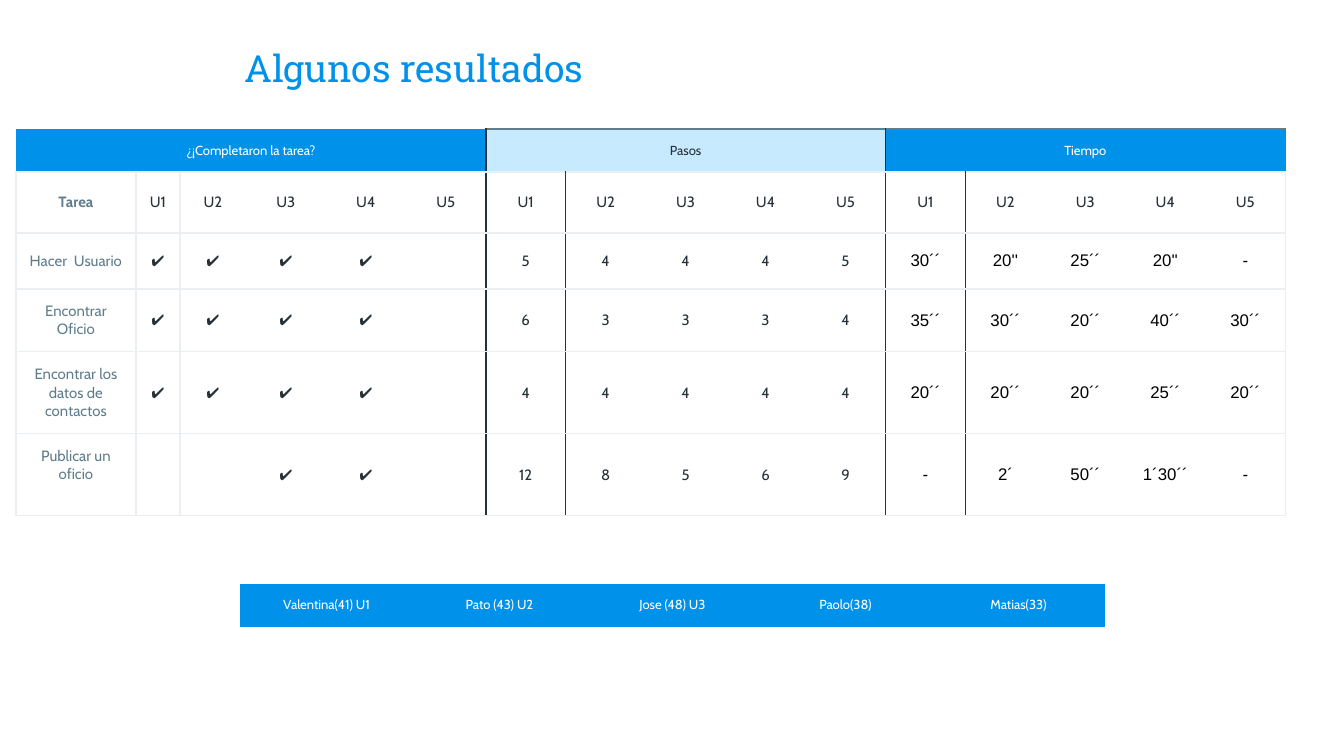
from lxml.etree import SubElement
from pptx import Presentation
from pptx.dml.color import RGBColor
from pptx.enum.text import MSO_ANCHOR, MSO_AUTO_SIZE, PP_ALIGN
from pptx.oxml.ns import qn
from pptx.util import Emu, Pt

EMU_PER_PX = 914400 / 134.4
BLUE = RGBColor(0x00, 0x91, 0xEA)
PALE_BLUE = RGBColor(0xC7, 0xEA, 0xFF)
DARK = RGBColor(0x26, 0x32, 0x38)
SLATE = RGBColor(0x60, 0x7D, 0x8B)
GRID = RGBColor(0xEC, 0xEF, 0xF1)
WHITE = RGBColor(0xFF, 0xFF, 0xFF)
BLACK = RGBColor(0x00, 0x00, 0x00)
NO_STYLE = "{2D5ABB26-0587-4C30-8999-92F81FD0307C}"

COLUMN_WIDTHS = [120, 44, 66] + [80] * 13
ROW_HEIGHTS = [43, 61, 56, 63, 82, 82]
GROUPS = [
    ("¿¡Completaron la tarea?", 0, 6, BLUE, WHITE),
    ("Pasos", 6, 11, PALE_BLUE, DARK),
    ("Tiempo", 11, 16, BLUE, WHITE),
]
USERS = ["U1", "U2", "U3", "U4", "U5"]
DONE = ["✔", "✔", "✔", "✔", ""]
TASKS = [
    ("Hacer  Usuario", DONE, [5, 4, 4, 4, 5], ["30´´", "20''", "25´´", "20''", "-"]),
    ("Encontrar Oficio", DONE, [6, 3, 3, 3, 4], ["35´´", "30´´", "20´´", "40´´", "30´´"]),
    ("Encontrar los datos de\ncontactos", DONE, [4] * 5,
     ["20´´", "20´´", "20´´", "25´´", "20´´"]),
    ("Publicar un oficio", ["", "", "✔", "✔", ""], [12, 8, 5, 6, 9],
     ["-", "2´", "50´´", "1´30´´", "-"]),
]
PEOPLE = ["Valentina(41) U1", "Pato (43) U2", "Jose (48) U3", "Paolo(38)", "Matias(33)"]
EDGE_COLORS = {0: GRID, 1: GRID, 6: DARK, 11: DARK, 16: GRID}


def px(length):
    return Emu(round(length * EMU_PER_PX))


def set_margins(target):
    target.margin_left = target.margin_right = px(13)
    target.margin_top = target.margin_bottom = px(13)


def format_span(span, size, color, font="Cabin", bold=False):
    span.font.size = Pt(size)
    span.font.name = font
    span.font.color.rgb = color
    span.font.bold = bold


def add_title(page, text):
    title = page.shapes.title
    title.left, title.top, title.width, title.height = px(231), px(0), px(1113), px(103)
    frame = title.text_frame
    frame.text = text
    frame.auto_size = MSO_AUTO_SIZE.NONE
    frame.vertical_anchor = MSO_ANCHOR.BOTTOM
    set_margins(frame)
    para = frame.paragraphs[0]
    para.alignment = PP_ALIGN.LEFT
    format_span(para.runs[0], 20, BLUE, "Roboto Slab")


def add_grid(page, left, top, widths, heights):
    frame = page.shapes.add_table(len(heights), len(widths), px(left), px(top),
                                  px(sum(widths)), px(sum(heights)))
    table = frame.table
    table.first_row = table.horz_banding = False
    for style in table._tbl.iter(qn("a:tableStyleId")):
        style.text = NO_STYLE
    for column, width in zip(table.columns, widths):
        column.width = px(width)
    for row, height in zip(table.rows, heights):
        row.height = px(height)
    return table


def fill_cell(cell, text, size, color, fill=None, font="Cabin", bold=False,
              anchor=MSO_ANCHOR.MIDDLE):
    cell.text_frame.text = text
    cell.vertical_anchor = anchor
    set_margins(cell)
    for para in cell.text_frame.paragraphs:
        para.alignment = PP_ALIGN.CENTER
        for span in para.runs:
            format_span(span, size, color, font, bold)
        if not para.runs:
            SubElement(para._p, qn("a:endParaRPr"), sz=str(size * 100))
    if fill is None:
        cell.fill.background()
    else:
        cell.fill.solid()
        cell.fill.fore_color.rgb = fill


def set_borders(cell, left, right, top, bottom):
    properties = cell._tc.get_or_add_tcPr()
    for side, color in zip("LRTB", (left, right, top, bottom)):
        if color is not None:
            weight = Pt(1) if color == DARK else Pt(0.75)
            line = SubElement(properties, qn(f"a:ln{side}"), w=str(weight))
            solid = SubElement(line, qn("a:solidFill"))
            SubElement(solid, qn("a:srgbClr"), val=str(color))


def add_group_headers(table):
    for text, start, end, fill, color in GROUPS:
        cell = table.cell(0, start)
        cell.merge(table.cell(0, end - 1))
        left = DARK if start else None
        right = DARK if end < 16 else BLUE
        set_borders(cell, left, right, SLATE if start else None, GRID)
        fill_cell(cell, text, 7, color, fill)
        for column in range(start + 1, end):
            spanned = table.cell(0, column)
            set_borders(spanned, None, right if column == end - 1 else None,
                        SLATE if start else None, GRID)


def add_row(table, row, label, values):
    for column, text in enumerate([label] + values):
        cell = table.cell(row, column)
        set_borders(cell, EDGE_COLORS.get(column), EDGE_COLORS.get(column + 1), GRID, GRID)
        if column == 0:
            fill_cell(cell, text, 8, SLATE, WHITE if row == 1 else None, bold=row == 1)
        elif column >= 11 and row > 1:
            fill_cell(cell, text, 9, BLACK, font="Arial")
        else:
            fill_cell(cell, text, 8, DARK)


def add_results(page):
    table = add_grid(page, 16, 129, COLUMN_WIDTHS, ROW_HEIGHTS)
    add_group_headers(table)
    add_row(table, 1, "Tarea", USERS * 3)
    for row, (label, done, steps, times) in enumerate(TASKS, start=2):
        add_row(table, row, label, done + [str(step) for step in steps] + times)
    table.cell(5, 0).margin_bottom = px(32)


def add_people(page):
    table = add_grid(page, 240, 584, [173] * len(PEOPLE), [43])
    for column, person in enumerate(PEOPLE):
        fill_cell(table.cell(0, column), person, 7, WHITE, BLUE, anchor=MSO_ANCHOR.TOP)


def main():
    deck = Presentation()
    deck.slide_width, deck.slide_height = px(1344), px(756)
    page = deck.slides.add_slide(deck.slide_layouts[5])
    add_title(page, "Algunos resultados")
    add_results(page)
    add_people(page)
    deck.save("out.pptx")


if __name__ == "__main__":
    main()
